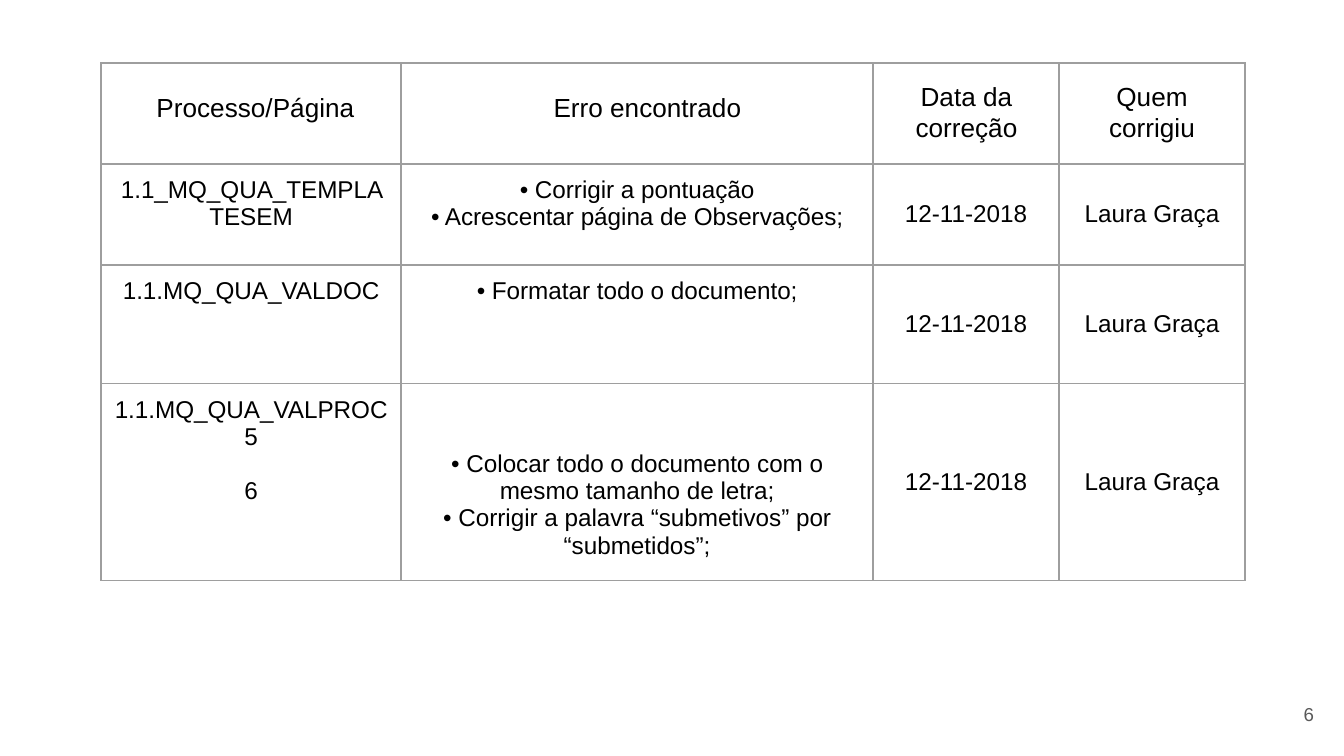
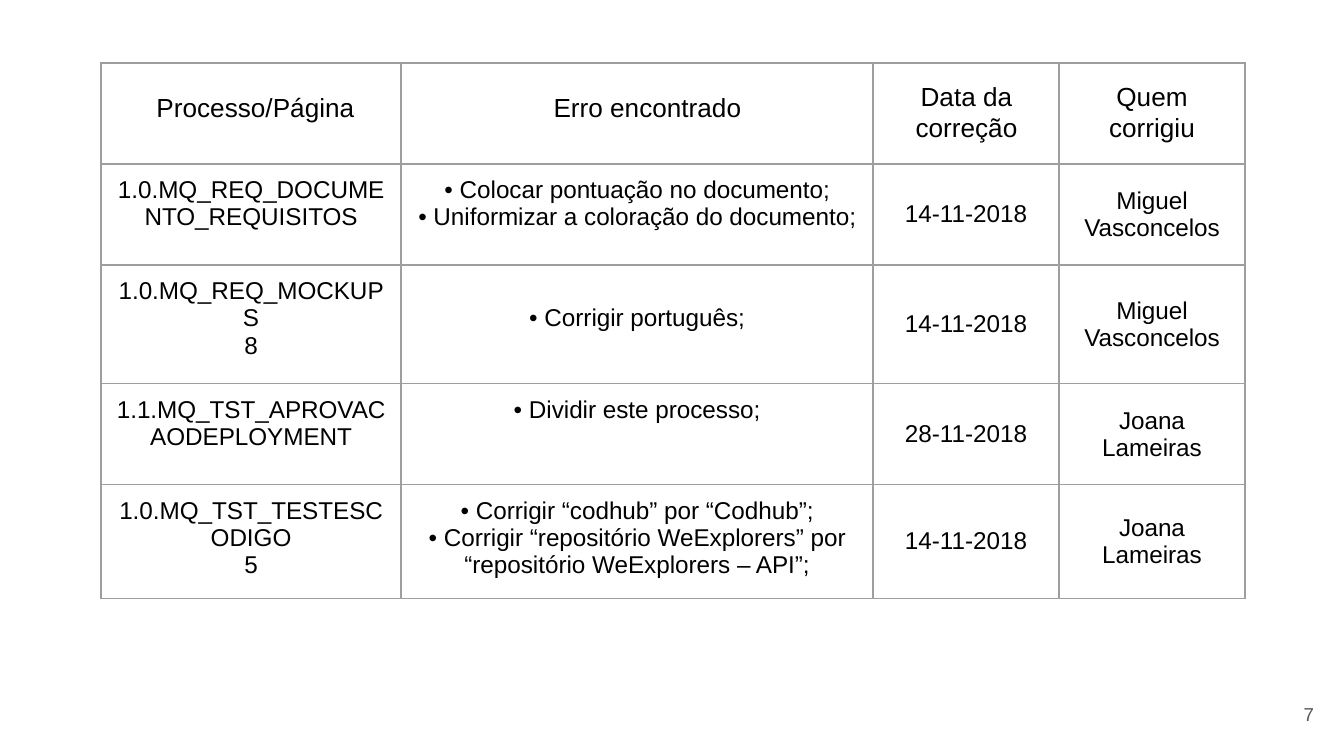
"""Build two slides that log the errors found in process documents."""
from dataclasses import dataclass

from lxml import etree
from pptx import Presentation
from pptx import util as u
from pptx.dml.color import RGBColor
from pptx.enum import text
from pptx.oxml import ns

PX = 914400 / 134.4


@dataclass(frozen=True)
class Theme:
    font: str = "Arial"
    ink: str = "000000"
    muted: str = "595959"
    border: str = "9E9E9E"
    border_pt: float = 0.75
    header_pt: int = 14
    body_pt: int = 13
    number_pt: int = 10
    inset: int = 13
    line: int = 27


@dataclass(frozen=True)
class Entry:
    height: int
    process: str
    errors: str
    date: str
    fixer: str
    lead: int = 0
    gap: int = 0


T = Theme()
MIDDLE = text.MSO_ANCHOR.MIDDLE
TOP = text.MSO_ANCHOR.TOP
CENTER = text.PP_ALIGN.CENTER
RIGHT = text.PP_ALIGN.RIGHT

TABLE_LEFT, TABLE_TOP = 101, 63
COLUMNS = (300, 472, 186, 186)
HEADER_HEIGHT = 101
HEADERS = (
    ("Processo/Página", 129, 78, 253),
    ("Quem corrigiu", 1066, 67, 172),
    ("Data da correção", 882, 67, 169),
    ("Erro encontrado", 480, 78, 335),
)

QUALITY = (
    Entry(101, "1.1_MQ_QUA_TEMPLATESEM",
          "• Corrigir a pontuação\n• Acrescentar página de Observações;",
          "12-11-2018", "Laura Graça"),
    Entry(119, "1.1.MQ_QUA_VALDOC", "• Formatar todo o documento;",
          "12-11-2018", "Laura Graça"),
    Entry(190, "1.1.MQ_QUA_VALPROC\n5\n6",
          "• Colocar todo o documento com o mesmo tamanho de letra;\n"
          "• Corrigir a palavra “submetivos” por “submetidos”;",
          "12-11-2018", "Laura Graça", lead=2, gap=1),
)
REQUIREMENTS = (
    Entry(101, "1.0.MQ_REQ_DOCUMENTO_REQUISITOS",
          "• Colocar pontuação no documento;\n"
          "• Uniformizar a coloração do documento;",
          "14-11-2018", "Miguel Vasconcelos"),
    Entry(119, "1.0.MQ_REQ_MOCKUPS\n8", "• Corrigir português;",
          "14-11-2018", "Miguel Vasconcelos", lead=1),
    Entry(101, "1.1.MQ_TST_APROVACAODEPLOYMENT", "• Dividir este processo;",
          "28-11-2018", "Joana Lameiras"),
    Entry(108, "1.0.MQ_TST_TESTESCODIGO\n5",
          "• Corrigir “codhub” por “Codhub”;\n"
          "• Corrigir “repositório WeExplorers” por "
          "“repositório WeExplorers – API”;",
          "14-11-2018", "Joana Lameiras"),
)


def px(n):
    """Turn pixels into EMU."""
    return u.Emu(round(n * PX))


def style(tf, size, color, align):
    """Format every paragraph and run of a text frame."""
    for p in tf.paragraphs:
        p.alignment = align
        for r in p.runs:
            r.font.name = T.font
            r.font.size = u.Pt(size)
            r.font.color.rgb = RGBColor.from_string(color)


def set_margins(box, lead=0):
    """Give a cell or text frame equal insets, plus lead lines at the top."""
    box.margin_left = box.margin_right = box.margin_bottom = px(T.inset)
    box.margin_top = px(T.inset + lead * T.line)


def add_label(s, label, area, size, color, align, anchor):
    """Add a wrapped text box."""
    tf = s.shapes.add_textbox(*map(px, area)).text_frame
    tf.word_wrap = True
    tf.vertical_anchor = anchor
    set_margins(tf)
    tf.text = label
    style(tf, size, color, align)


def set_borders(cell):
    """Draw the four borders of a cell, with no fill."""
    cell.fill.background()
    tc_pr = cell._tc.get_or_add_tcPr()
    for i, side in enumerate("LRTB"):
        ln = etree.Element(ns.qn(f"a:ln{side}"), w=str(u.Pt(T.border_pt)))
        fill = etree.SubElement(ln, ns.qn("a:solidFill"))
        etree.SubElement(fill, ns.qn("a:srgbClr"), val=T.border)
        tc_pr.insert(i, ln)


def fill_cell(cell, content, anchor, lead=0):
    """Write the text of one body cell."""
    cell.vertical_anchor = anchor
    set_margins(cell, lead)
    cell.text_frame.text = content
    style(cell.text_frame, T.body_pt, T.ink, CENTER)


def add_log(s, entries):
    """Add the bordered table of errors, leaving its top row for the labels."""
    heights = (HEADER_HEIGHT, *(e.height for e in entries))
    area = (TABLE_LEFT, TABLE_TOP, sum(COLUMNS), sum(heights))
    table = s.shapes.add_table(len(heights), len(COLUMNS), *map(px, area)).table
    table.first_row = table.horz_banding = False
    for column, width in zip(table.columns, COLUMNS):
        column.width = px(width)
    for row, height in zip(table.rows, heights):
        row.height = px(height)
    for cell in table.iter_cells():
        set_borders(cell)
    for i, e in enumerate(entries, 1):
        fill_cell(table.cell(i, 0), e.process, TOP)
        fill_cell(table.cell(i, 1), e.errors, TOP, e.lead)
        fill_cell(table.cell(i, 2), e.date, MIDDLE)
        fill_cell(table.cell(i, 3), e.fixer, MIDDLE)
        if e.gap:
            p = table.cell(i, 0).text_frame.paragraphs[-1]
            p.space_before = px(e.gap * T.line)


def add_log_slide(prs, number, entries):
    """Add one slide with headings, page number and table."""
    s = prs.slides.add_slide(prs.slide_layouts[6])
    for label, left, top, width in HEADERS:
        add_label(s, label, (left, top, width, 89), T.header_pt, T.ink, CENTER, TOP)
    add_label(s, str(number), (1246, 685, 81, 58), T.number_pt, T.muted, RIGHT, MIDDLE)
    add_log(s, entries)


def main():
    """Build and save the presentation."""
    prs = Presentation()
    prs.slide_width, prs.slide_height = px(1344), px(756)
    for number, entries in enumerate((QUALITY, REQUIREMENTS), 6):
        add_log_slide(prs, number, entries)
    prs.save("out.pptx")


if __name__ == "__main__":
    main()
